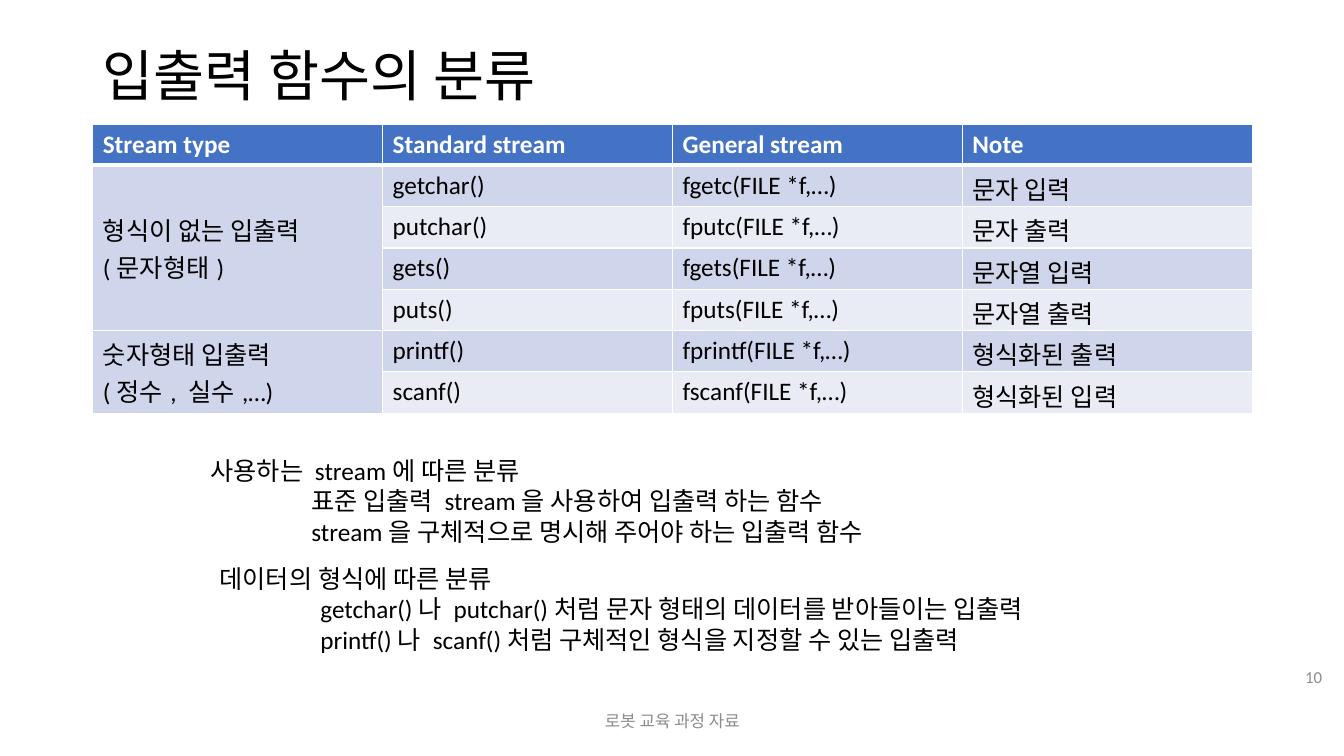
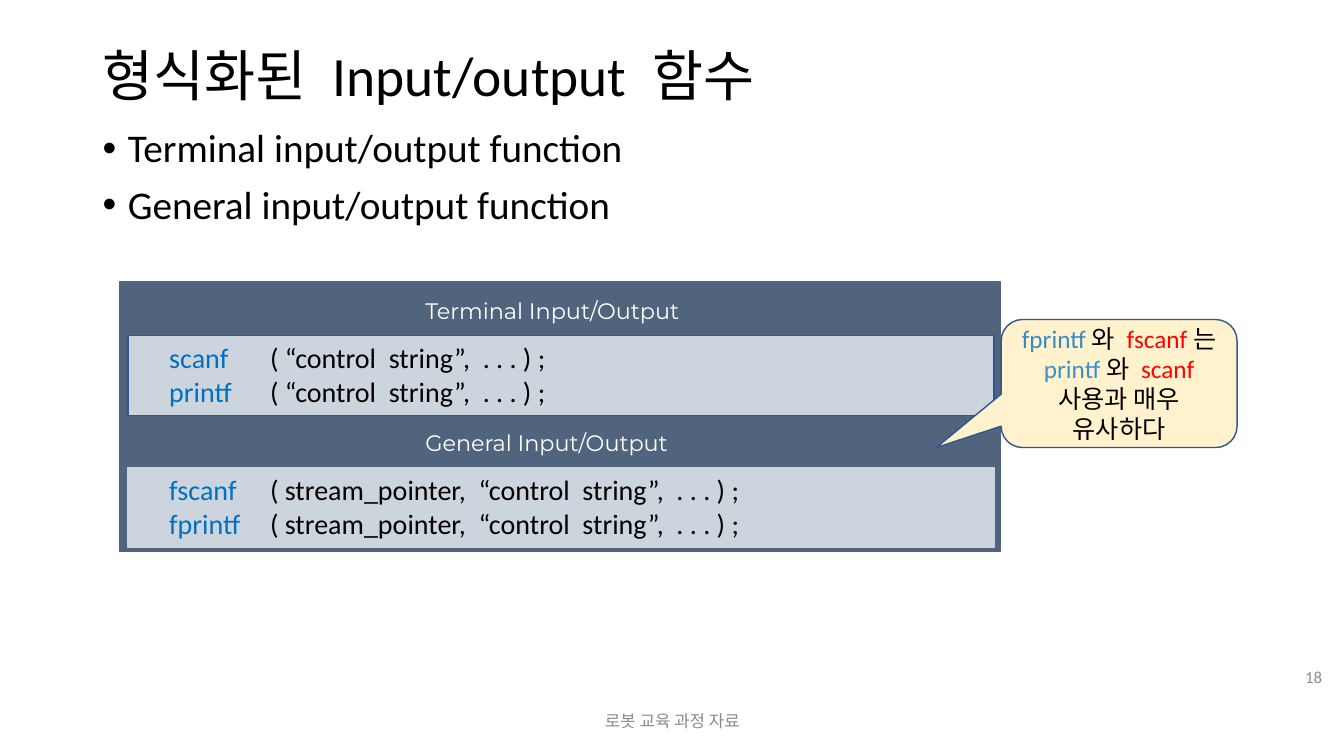
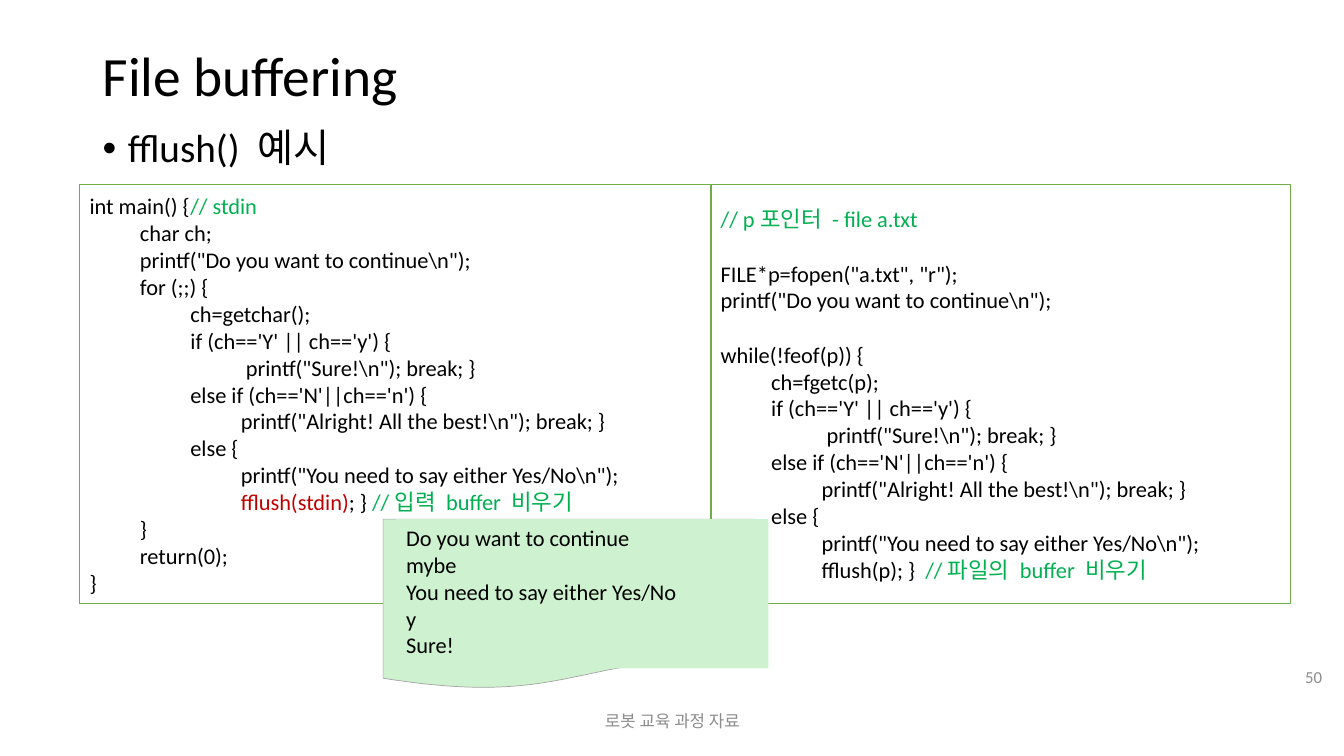
from typing import NamedTuple

from pptx import Presentation
from pptx.dml.color import RGBColor
from pptx.enum.shapes import MSO_SHAPE as Kind
from pptx.enum.text import MSO_ANCHOR as Anchor, PP_ALIGN as Align
from pptx.oxml.ns import qn
from pptx.util import Inches, Pt
from lxml.etree import SubElement

BLACK, WHITE, GREY = "000000", "FFFFFF", "8C8C8C"
BLUE, GREEN, RED = "0070C0", "00B050", "FF0000"
HEAD, BANDS = "4472C4", ("CFD5EA", "E9EBF5")
SLATE, PALE, NAVY = "51647E", "CCD4DE", "325491"
CREAM, LEAF, MINT, ASH = "FFF2CC", "70AD47", "CEF2CF", "A5A5A5"
LEFT, TOP, WIDE = 0.92, 1.23, 11.5
FOOT = "로봇 교육 과정 자료"


class Box(NamedTuple):
    x: float
    y: float
    w: float
    h: float

    def emu(self) -> list:
        return [Inches(v) for v in self]


class Run(NamedTuple):
    text: str
    color: str = BLACK


class Para(NamedTuple):
    """Runs of one paragraph, its left indent in inches and space before in points."""
    runs: tuple
    indent: float = 0
    before: float = 0


def rgb(code: str) -> RGBColor:
    return RGBColor.from_string(code)


def line(text: str, indent: float = 0, before: float = 0, color: str = BLACK) -> Para:
    return Para((Run(text, color),), indent, before)


def write(frame, paras, *, size=18, font="Calibri", color=BLACK, bold=False,
          align=Align.LEFT, anchor=Anchor.TOP, pitch=None, bullet=False) -> None:
    """Fill a text frame; plain strings become paragraphs in the given colour."""
    frame.word_wrap = True
    frame.vertical_anchor = anchor
    for n, item in enumerate(paras):
        para = line(item, color=color) if isinstance(item, str) else item
        p = frame.paragraphs[0] if n == 0 else frame.add_paragraph()
        p.alignment = align
        if pitch:
            p.line_spacing = pitch
        if para.before:
            p.space_before = Pt(para.before)
        props = p._p.get_or_add_pPr()
        if para.indent:
            props.set("marL", str(Inches(para.indent)))
        if bullet:
            props.set("indent", str(-Inches(para.indent)))
            SubElement(props, qn("a:buFont"), typeface="Arial")
            SubElement(props, qn("a:buChar"), char="•")
        for part in para.runs:
            run = p.add_run()
            run.text = part.text
            run.font.size, run.font.name = Pt(size), font
            run.font.bold = bold
            run.font.color.rgb = rgb(part.color)


def label(slide, box: Box, paras, **style) -> None:
    write(slide.shapes.add_textbox(*box.emu()).text_frame, paras, **style)


def shape(shapes, kind, box: Box, fill: str, edge: str = "", width: float = 1):
    item = shapes.add_shape(kind, *box.emu())
    item.shadow.inherit = False
    item.fill.solid()
    item.fill.fore_color.rgb = rgb(fill)
    if edge:
        item.line.color.rgb = rgb(edge)
        item.line.width = Pt(width)
    else:
        item.line.fill.background()
    return item


def start(deck, title: str, page: int, points=()):
    """Add a slide with title, footer, page number and bullet points."""
    slide = deck.slides.add_slide(deck.slide_layouts[6])
    label(slide, Box(LEFT, 0.4, WIDE, 0.75), [title], size=39.6, anchor=Anchor.MIDDLE, pitch=0.9)
    if points:
        label(slide, Box(LEFT, TOP, WIDE, 5.53), [line(t, 0.25, 10) for t in points],
              size=28, pitch=0.9, bullet=True)
    foot = dict(size=12, color=GREY, anchor=Anchor.MIDDLE)
    label(slide, Box(4.42, 6.95, 4.5, 0.4), [FOOT], align=Align.CENTER, **foot)
    label(slide, Box(12.59, 6.51, 0.62, 0.4), [str(page)], align=Align.RIGHT, **foot)
    return slide


def paint(cell, fill: str, under: float) -> None:
    """Give a cell white borders, the lower one `under` points wide, and a fill."""
    props = cell._tc.get_or_add_tcPr()
    for side, width in zip("LRTB", (1, 1, 1, under)):
        ln = SubElement(props, qn(f"a:ln{side}"), w=str(Pt(width)))
        SubElement(SubElement(ln, qn("a:solidFill")), qn("a:srgbClr"), val=WHITE)
    cell.fill.solid()
    cell.fill.fore_color.rgb = rgb(fill)


def sorts(deck) -> None:
    slide = start(deck, "입출력 함수의 분류", 10)
    heads = ("Stream type", "Standard stream", "General stream", "Note")
    calls = (("getchar", "fgetc", "문자 입력"), ("putchar", "fputc", "문자 출력"),
             ("gets", "fgets", "문자열 입력"), ("puts", "fputs", "문자열 출력"),
             ("printf", "fprintf", "형식화된 출력"), ("scanf", "fscanf", "형식화된 입력"))
    kinds = {1: (4, ["형식이 없는 입출력", "(문자형태)"]),
             5: (2, ["숫자형태 입출력", "(정수, 실수,…)"])}
    rows = len(calls) + 1
    table = slide.shapes.add_table(rows, 4, *Box(LEFT, TOP, WIDE, 0.41 * rows).emu()).table
    for r in range(rows):
        table.rows[r].height = Inches(0.41)
        for c in range(4):
            fill = HEAD if r == 0 else BANDS[0 if c == 0 else (r - 1) % 2]
            paint(table.cell(r, c), fill, 1 if r else 3)
    for c, head in enumerate(heads):
        write(table.cell(0, c).text_frame, [head], color=WHITE, bold=True)
    for r, (std, gen, note) in enumerate(calls, 1):
        for c, text in enumerate((f"{std}()", f"{gen}(FILE *f,…)", note), 1):
            write(table.cell(r, c).text_frame, [text])
    for r, (span, text) in kinds.items():
        cell = table.cell(r, 0)
        cell.merge(table.cell(r + span - 1, 0))
        write(cell.text_frame, text)
        cell.vertical_anchor = Anchor.MIDDLE

    notes = (
        (1.99, 4.47, "사용하는 stream에 따른 분류",
         "표준 입출력 stream을 사용하여 입출력 하는 함수",
         "stream을 구체적으로 명시해 주어야 하는 입출력 함수"),
        (2.08, 5.54, "데이터의 형식에 따른 분류",
         "getchar()나 putchar()처럼 문자 형태의 데이터를 받아들이는 입출력",
         "printf()나 scanf()처럼 구체적인 형식을 지정할 수 있는 입출력"))
    for x, y, head, *subs in notes:
        label(slide, Box(x, y, 9.47, 1.01), [head] + [line(s, 1) for s in subs])


def forms(deck) -> None:
    slide = start(deck, "형식화된 Input/output 함수", 18,
                  ("Terminal input/output function", "General input/output function"))
    shape(slide.shapes, Kind.RECTANGLE, Box(1.19, 2.79, 8.73, 2.68), SLATE, SLATE)
    panels = (("Terminal", NAVY, ("scanf", "printf"), ""),
              ("General", PALE, ("fscanf", "fprintf"), "stream_pointer,  "))
    for n, (name, edge, calls, arg) in enumerate(panels):
        y = 3.33 + 1.31 * n
        shape(slide.shapes, Kind.RECTANGLE, Box(1.27, y, 8.59, 0.79), PALE, edge)
        label(slide, Box(4.12, y - 0.43, 2.91, 0.37), [f"{name} Input/Output"],
              size=16, font="Montserrat", color=WHITE)
        tail = Run(f"\t( {arg}“control  string”,  . . . ) ;")
        label(slide, Box(1.58, y, 7.87, 1.11),
              [Para((Run(call, BLUE), tail)) for call in calls], size=20)
    bubble = shape(slide.shapes, Kind.ROUNDED_RECTANGULAR_CALLOUT,
                   Box(9.93, 3.17, 2.34, 1.27), CREAM, NAVY)
    for n, value in enumerate((-0.775, 0.5, 0.167)):
        bubble.adjustments[n] = value
    words = (Run("fprintf", "358AC7"), Run("와 "), Run("fscanf", RED), Run("는 "),
             Run("printf", "3C8FCA"), Run("와 "), Run("scanf ", RED),
             Run("사용과 매우 유사하다"))
    write(bubble.text_frame, [Para(words)], align=Align.CENTER, anchor=Anchor.MIDDLE)


def branch(step: float) -> list:
    """The yes/no test of both programs, indented by `step` inches."""
    return [line("if (ch=='Y' || ch=='y') {", step),
            line(' printf("Sure!\\n"); break; }', step + 0.5),
            line("else if (ch=='N'||ch=='n') {", step),
            line('printf("Alright! All the best!\\n"); break; }', step + 0.5),
            line("else {", step)]


def flush(deck) -> None:
    slide = start(deck, "File buffering", 50, ("fflush() 예시",))
    ask = 'printf("Do you want to continue\\n");'
    retry = 'printf("You need to say either Yes/No\\n");'
    gap = 19.5
    stdin = [Para((Run("int main() {\t"), Run("// stdin", GREEN))),
             line("char ch;", 0.5), line(ask, 0.5), line("for (;;) {", 0.5),
             line("ch=getchar();", 1), *branch(1), line(retry, 1.5),
             Para((Run("fflush(stdin)", "C00000"), Run("; } "),
                   Run("//입력 buffer 비우기", GREEN)), 1.5),
             line("}", 0.5), line("return(0);", 0.5), "}"]
    file = [line("// p포인터 - file a.txt", color=GREEN),
            line('FILE*p=fopen("a.txt", "r");', before=gap), ask,
            line("while(!feof(p)) {", before=gap),
            line("ch=fgetc(p);", 0.5), *branch(0.5),
            Para((Run(f"{retry} fflush(p); }}  "), Run("//파일의 buffer 비우기", GREEN)), 1)]
    for x, w, code in ((0.79, 6.3, stdin), (7.05, 5.75, file)):
        pane = shape(slide.shapes, Kind.RECTANGLE, Box(x, 1.83, w, 4.16), WHITE, LEAF)
        write(pane.text_frame, code, size=16, anchor=Anchor.MIDDLE)
    sheet = slide.shapes.add_group_shape().shapes
    shape(sheet, Kind.FLOWCHART_DOCUMENT, Box(3.8, 5.15, 3.69, 1.69), MINT, ASH, 0.5)
    out = shape(sheet, Kind.RECTANGLE, Box(3.93, 5.15, 3.69, 1.48), MINT)
    write(out.text_frame, ["Do you want to continue", "mybe",
                           "You need to say either Yes/No", "y", "Sure!"],
          size=16, align=Align.JUSTIFY)


def main() -> None:
    deck = Presentation()
    deck.slide_width, deck.slide_height = Inches(13.33), Inches(7.5)
    for build in (sorts, forms, flush):
        build(deck)
    deck.save("out.pptx")


if __name__ == "__main__":
    main()
